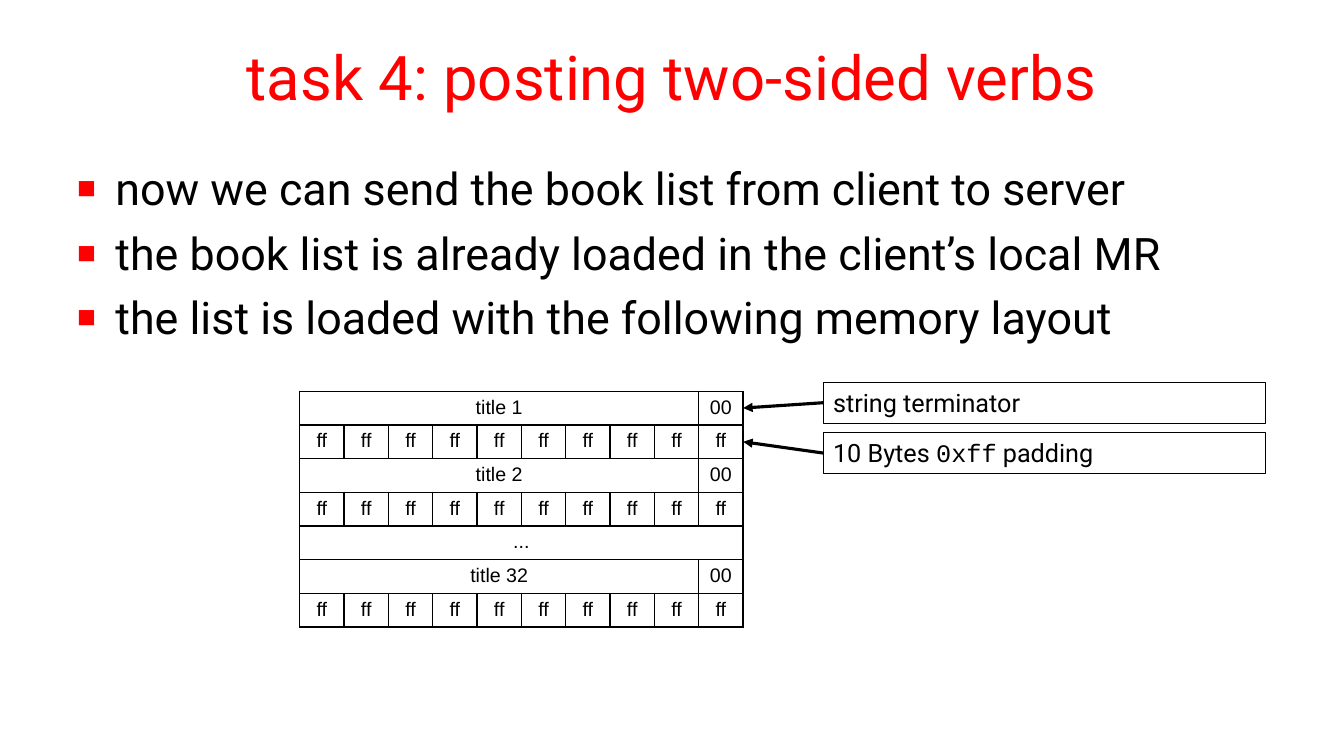
from lxml.etree import SubElement
from pptx import Presentation
from pptx.dml.color import RGBColor
from pptx.enum.shapes import MSO_CONNECTOR, MSO_SHAPE
from pptx.enum.text import MSO_ANCHOR, PP_ALIGN
from pptx.oxml.ns import qn
from pptx.util import Inches, Pt

WIDTH, HEIGHT = Inches(13.33), Inches(7.5)
COLUMN, ROW = WIDTH / 20, HEIGHT / 20
BLACK, WHITE, RED = "000000", "FFFFFF", "FF0000"

TITLE = "task 4: posting two-sided verbs"
BULLETS = [
    "now we can send the book list from client to server",
    "the book list is already loaded in the client’s local MR",
    "the list is loaded with the following memory layout",
]
BYTES = 10
PADDING = ["ff"] * BYTES
MEMORY = [
    ["title 1", "00"], PADDING,
    ["title 2", "00"], PADDING,
    ["..."],
    ["title 32", "00"], PADDING,
]
LABELS = [
    [("string terminator", "Roboto")],
    [("10 Bytes ", "Roboto"), ("0xff", "Courier New"), (" padding", "Roboto")],
]


def grid(left, top, width, height):
    return (round(left * COLUMN), round(top * ROW),
            round(width * COLUMN), round(height * ROW))


def color(value):
    return RGBColor.from_string(value)


def style(font, size, name="Roboto", value=BLACK):
    font.size = Pt(size)
    font.name = name
    font.color.rgb = color(value)


def add_element(parent, tag, **attributes):
    return SubElement(parent, qn(tag), attributes)


def add_solid(parent, value):
    add_element(add_element(parent, "a:solidFill"), "a:srgbClr", val=value)


def add_title(page, box):
    frame = page.shapes.add_textbox(*box).text_frame
    frame.word_wrap = True
    frame.vertical_anchor = MSO_ANCHOR.MIDDLE
    frame.text = TITLE
    para = frame.paragraphs[0]
    para.alignment = PP_ALIGN.CENTER
    style(para.runs[0].font, 44, value=RED)


def add_bullets(page, box):
    frame = page.shapes.add_textbox(*box).text_frame
    frame.word_wrap = True
    for index, text in enumerate(BULLETS):
        para = frame.paragraphs[0] if index == 0 else frame.add_paragraph()
        para.text = text
        properties = para._p.get_or_add_pPr()
        properties.set("marL", str(Inches(0.38)))
        properties.set("indent", str(-Inches(0.38)))
        add_element(add_element(properties, "a:buClr"), "a:srgbClr", val=RED)
        add_element(properties, "a:buSzPct", val="70000")
        add_element(properties, "a:buFont", typeface="Arial")
        add_element(properties, "a:buChar", char="■")
        if index:
            para.space_before = Pt(7.5)
        style(para.runs[0].font, 32)


def format_cell(cell):
    cell.margin_left = cell.margin_right = Inches(0.05)
    properties = cell._tc.get_or_add_tcPr()
    for side in ("a:lnL", "a:lnR", "a:lnT", "a:lnB"):
        add_solid(add_element(properties, side, w=str(Pt(1))), BLACK)
    cell.fill.background()


def add_memory_table(page, box):
    left, top, width, height = box
    table = page.shapes.add_table(len(MEMORY), BYTES, *box).table
    table.first_row = table.horz_banding = False
    for column in table.columns:
        column.width = width // BYTES
    for index, texts in enumerate(MEMORY):
        table.rows[index].height = height // len(MEMORY)
        for column in range(BYTES):
            format_cell(table.cell(index, column))
        first_span = BYTES - len(texts) + 1
        if first_span > 1:
            table.cell(index, 0).merge(table.cell(index, first_span - 1))
        for position, text in enumerate(texts):
            column = position + first_span - 1 if position else 0
            cell = table.cell(index, column)
            cell.text = text
            para = cell.text_frame.paragraphs[0]
            para.alignment = PP_ALIGN.CENTER
            style(para.runs[0].font, 14, "Arial")


def add_label(page, box, spans):
    label = page.shapes.add_shape(MSO_SHAPE.RECTANGLE, *box)
    label.shadow.inherit = False
    label.fill.solid()
    label.fill.fore_color.rgb = color(WHITE)
    label.line.color.rgb = color(BLACK)
    label.line.width = Pt(0.75)
    frame = label.text_frame
    frame.word_wrap = True
    frame.vertical_anchor = MSO_ANCHOR.TOP
    para = frame.paragraphs[0]
    para.alignment = PP_ALIGN.LEFT
    for text, name in spans:
        span = para.add_run()
        span.text = text
        style(span.font, 18, name)
    return label


def add_arrow(page, label, end_x, end_y):
    arrow = page.shapes.add_connector(
        MSO_CONNECTOR.STRAIGHT, label.left, label.top, end_x, end_y)
    arrow.begin_connect(label, 1)
    arrow.line.color.rgb = color(BLACK)
    arrow.line.width = Pt(2.25)
    add_element(arrow.line._get_or_add_ln(), "a:tailEnd", type="triangle")
    add_element(arrow._element.spPr, "a:effectLst")


def add_labels(page, box, table_box):
    left, top, width, height = box
    table_left, table_top, table_width, table_height = table_box
    memory_row = table_height / len(MEMORY)
    label_height = round(height * 0.45)
    step = (height - label_height) // (len(LABELS) - 1)
    for index, spans in enumerate(LABELS):
        label = add_label(
            page, (left, top + index * step, width, label_height), spans)
        add_arrow(page, label, table_left + table_width,
                  round(table_top + (index + 0.5) * memory_row))


def build_memory_layout(page):
    table_box = grid(4.46, 10.35, 6.6, 6.24)
    add_title(page, grid(1, 0.35, 18, 3.33))
    add_bullets(page, grid(1, 4.13, 18, 5.52))
    add_memory_table(page, table_box)
    add_labels(page, grid(12.25, 10.11, 6.59, 2.42), table_box)


def main():
    deck = Presentation()
    deck.slide_width, deck.slide_height = WIDTH, HEIGHT
    build_memory_layout(deck.slides.add_slide(deck.slide_layouts[6]))
    deck.save("out.pptx")


if __name__ == "__main__":
    main()
